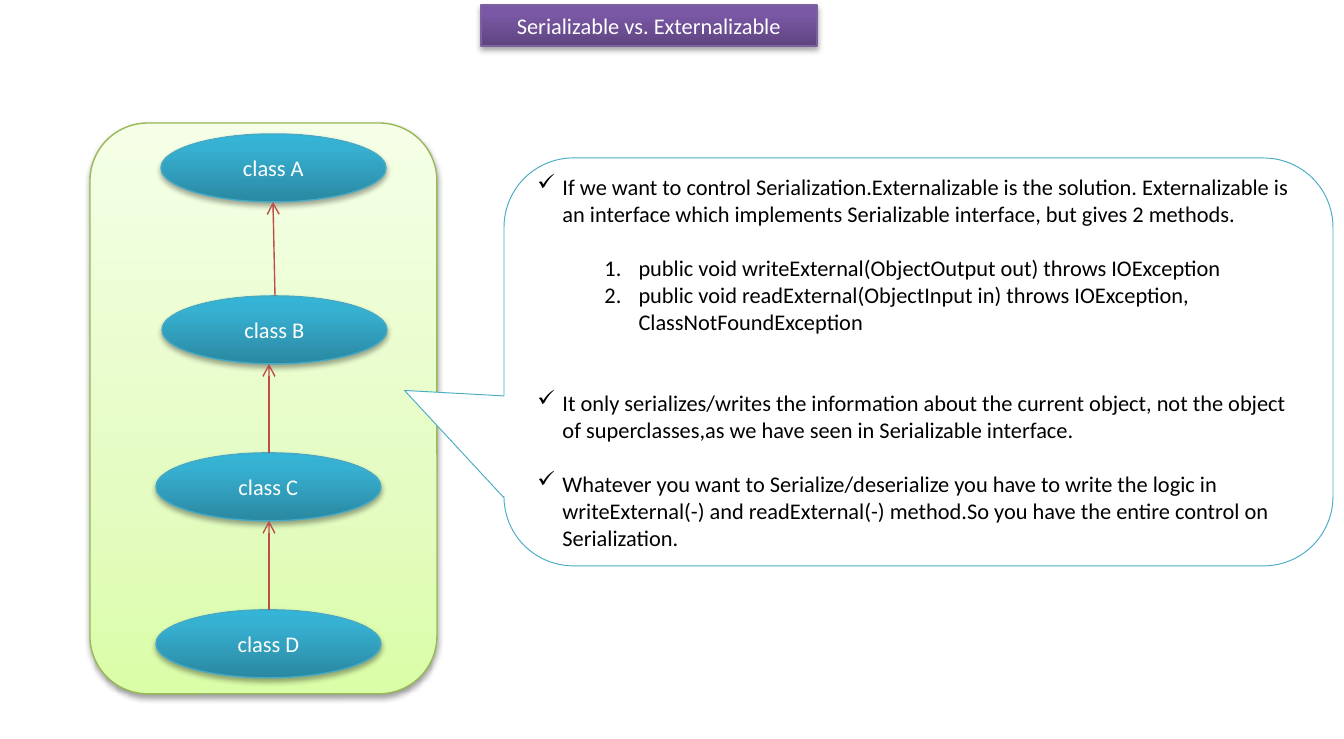
from copy import deepcopy
from lxml import etree
from pptx import Presentation
from pptx.dml.color import RGBColor
from pptx.enum.shapes import MSO_CONNECTOR, MSO_SHAPE
from pptx.enum.text import MSO_ANCHOR, PP_ALIGN
from pptx.oxml.ns import qn
from pptx.util import Emu, Pt

PX = 914400 / 134.4
STRAIGHT = MSO_CONNECTOR.STRAIGHT
ELLIPSE, PANEL = MSO_SHAPE.OVAL, MSO_SHAPE.ROUNDED_RECTANGLE
CALLOUT = MSO_SHAPE.ROUNDED_RECTANGULAR_CALLOUT
MIDDLE, CENTER, LEFT = MSO_ANCHOR.MIDDLE, PP_ALIGN.CENTER, PP_ALIGN.LEFT

TITLE = "Serializable vs. Externalizable"
TITLE_BOX = (481, 5, 336, 41)
PANEL_BOX = (90, 123, 347, 571)
CALLOUT_BOX = (504, 158, 829, 408)
CALLOUT_ADJ = (-0.62, 0.07, 0.17)
CLASS_W, CLASS_H = 225, 68
CLASSES = [("class A", 161, 134), ("class B", 162, 296),
           ("class C", 156, 453), ("class D", 156, 610)]
ARROWS = [(269, 610, 269, 521), (269, 453, 269, 364), (275, 296, 273, 202)]

CHECK, NUMBER = "check", "number"
NOTES = [
    (CHECK, 0, "If we want to control Serialization.Externalizable is the solution. "
     "Externalizable is an interface which implements Serializable interface, "
     "but gives 2 methods."),
    (NUMBER, 1, "public void writeExternal(ObjectOutput out) throws IOException"),
    (NUMBER, 0, "public void readExternal(ObjectInput in) throws IOException, "
     "ClassNotFoundException"),
    (CHECK, 2, "It only serializes/writes the information about the current object, "
     "not the object of superclasses,as we have seen in Serializable interface."),
    (CHECK, 1, "Whatever you want to Serialize/deserialize you have to write the logic in "
     "writeExternal(-) and readExternal(-) method.So you have the entire control on "
     "Serialization."),
]
LINE_PT = 14.6
BULLETS = {CHECK: (25, -25, "a:buChar", {"char": "✓"}),
           NUMBER: (101, -34, "a:buAutoNum", {"type": "arabicPeriod"})}

GREEN = [(0, "DAFDA7"), (0.35, "E4FCC2"), (1, "F5FFE7")]
PURPLE = [(0, "5F4480"), (0.8, "7B58A6"), (1, "7C57A8")]
TEAL = [(0, "2A88A2"), (0.8, "37B1D2"), (1, "34B4D6")]


def px(n):
    return Emu(round(n * PX))


def rgb(color):
    return RGBColor.from_string(color)


def set_line(shape, color, width=0.75):
    shape.line.color.rgb = rgb(color)
    shape.line.width = Pt(width)


def set_gradient(shape, stops):
    shape.fill.gradient()
    shape.fill.gradient_angle = 90
    stop_list = shape._element.spPr.find(".//" + qn("a:gsLst"))
    stop_list.append(deepcopy(stop_list[0]))
    for stop, (position, color) in zip(shape.fill.gradient_stops, stops):
        stop.position = position
        stop.color.rgb = rgb(color)


def set_shadow(shape, alpha, distance):
    shape.shadow.inherit = False
    effects = shape._element.spPr.find(qn("a:effectLst"))
    shadow = etree.SubElement(effects, qn("a:outerShdw"), blurRad=str(Pt(3.1)),
                              dist=str(Pt(distance)), dir="5400000", rotWithShape="0")
    color = etree.SubElement(shadow, qn("a:srgbClr"), val="000000")
    etree.SubElement(color, qn("a:alpha"), val=str(alpha * 1000))


def style_raised(shape, stops, line, alpha=35, distance=1.8):
    set_gradient(shape, stops)
    set_line(shape, line)
    set_shadow(shape, alpha, distance)


def add_shape(s, kind, box):
    return s.shapes.add_shape(kind, *map(px, box))


def add_text(p, text, color, align=CENTER):
    p.alignment = align
    r = p.add_run()
    r.text = text
    r.font.name = "Calibri"
    r.font.size = Pt(12)
    r.font.color.rgb = rgb(color)


def add_label(shape, text):
    tf = shape.text_frame
    tf.word_wrap = True
    tf.vertical_anchor = MIDDLE
    add_text(tf.paragraphs[0], text, "FFFFFF")


def add_arrow(s, ends):
    arrow = s.shapes.add_connector(STRAIGHT, *map(px, ends))
    set_line(arrow, "BF4C48")
    etree.SubElement(arrow.line._get_or_add_ln(), qn("a:tailEnd"), type="arrow")
    etree.SubElement(arrow._element.spPr, qn("a:effectLst"))


def add_notes(s):
    sp = add_shape(s, CALLOUT, CALLOUT_BOX)
    for i, value in enumerate(CALLOUT_ADJ):
        sp.adjustments[i] = value
    sp.shadow.inherit = False
    sp.fill.solid()
    sp.fill.fore_color.rgb = rgb("FFFFFF")
    set_line(sp, "4BACC6", 0.5)
    tf = sp.text_frame
    tf.word_wrap = True
    tf.vertical_anchor = MIDDLE
    for i, (kind, gap_lines, text) in enumerate(NOTES):
        p = tf.add_paragraph() if i else tf.paragraphs[0]
        add_text(p, text, "000000", LEFT)
        p.space_before = Pt(gap_lines * LINE_PT)
        margin, indent, tag, attributes = BULLETS[kind]
        properties = p._p.get_or_add_pPr()
        properties.set("marL", str(px(margin)))
        properties.set("indent", str(px(indent)))
        etree.SubElement(properties, qn(tag), attributes)


def main():
    prs = Presentation()
    prs.slide_width, prs.slide_height = Emu(9144000), Emu(5029200)
    s = prs.slides.add_slide(prs.slide_layouts[5])

    title = s.shapes.title
    title.left, title.top, title.width, title.height = map(px, TITLE_BOX)
    style_raised(title, PURPLE, "7D60A0")
    add_label(title, TITLE)

    panel = add_shape(s, PANEL, PANEL_BOX)
    style_raised(panel, GREEN, "98B955", 38, 1.6)

    for name, x, y in CLASSES:
        ellipse = add_shape(s, ELLIPSE, (x, y, CLASS_W, CLASS_H))
        style_raised(ellipse, TEAL, "46AAC5")
        add_label(ellipse, name)

    for ends in ARROWS:
        add_arrow(s, ends)

    add_notes(s)
    prs.save("out.pptx")


if __name__ == "__main__":
    main()
